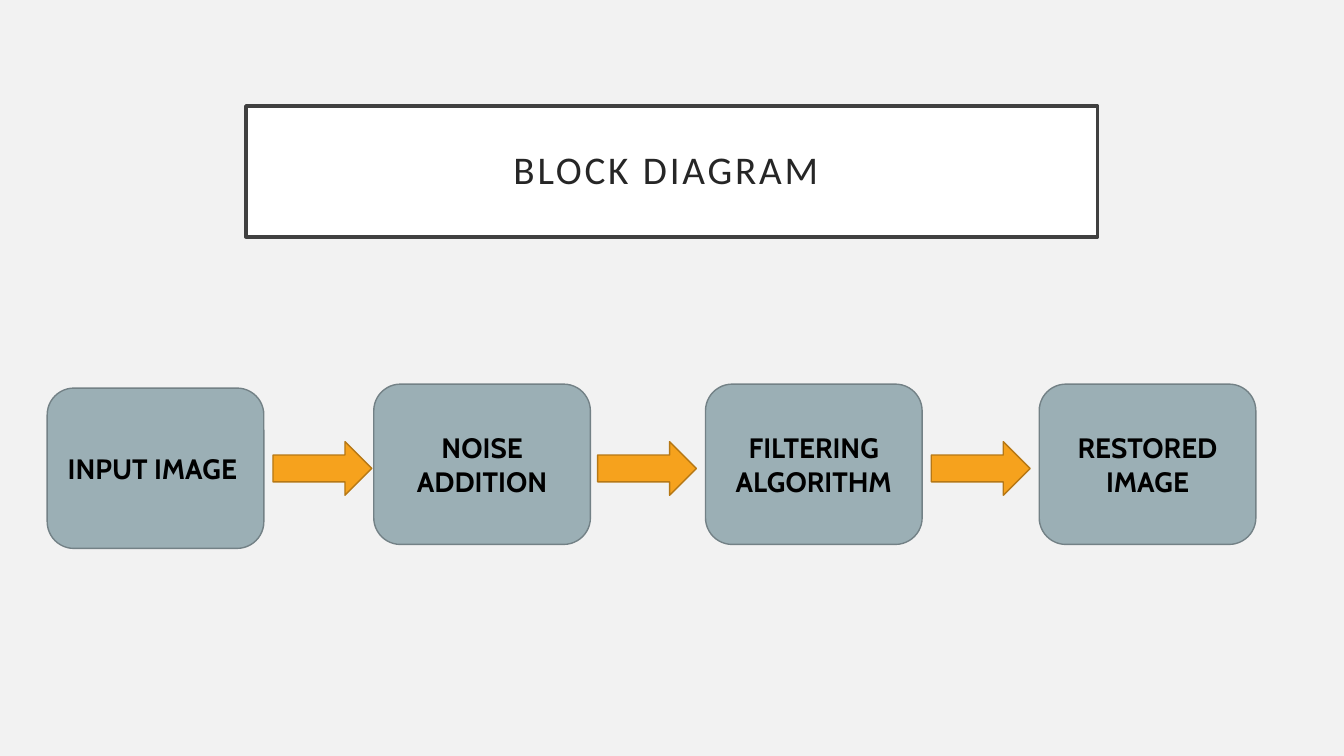
import pptx
import pptx.dml.color
import pptx.enum.shapes
import pptx.enum.text
import pptx.util

Cm = pptx.util.Cm
Pt = pptx.util.Pt
RGBColor = pptx.dml.color.RGBColor
MSO_SHAPE = pptx.enum.shapes.MSO_SHAPE

BACKGROUND = RGBColor(0xF2, 0xF2, 0xF2)
WHITE = RGBColor(0xFF, 0xFF, 0xFF)
BLACK = RGBColor(0x00, 0x00, 0x00)
TITLE_TEXT = RGBColor(0x26, 0x26, 0x26)
TITLE_BORDER = RGBColor(0x40, 0x40, 0x40)
STAGE_FILL = RGBColor(0x9B, 0xAF, 0xB5)
STAGE_BORDER = RGBColor(0x73, 0x81, 0x86)
ARROW_FILL = RGBColor(0xF6, 0xA2, 0x1D)
ARROW_BORDER = RGBColor(0xB6, 0x78, 0x15)

TITLE_BOX = (6.2, 2.67, 21.46, 3.3)
FLOW_BOX = (1.19, 9.68, 30.46, 4.14)
STAGE_SIZE = (5.46, 4.04)
ARROW_SIZE = (2.49, 1.35)
ARROW_DROP = 1.45
STAGES = [
    ("INPUT IMAGE ", 0, 0.1),
    ("NOISE ADDITION", 8.23, 0),
    ("FILTERING ALGORITHM", 16.59, 0),
    ("RESTORED IMAGE", 25, 0),
]
ARROW_OFFSETS = [5.69, 13.87, 22.28]

TITLE_FONT = {"name": "Calibri", "size": Pt(28), "bold": False}
STAGE_FONT = {"name": "Cabin", "size": Pt(20), "bold": True}
TITLE_FRAME = {
    "margin_left": Cm(0.51),
    "margin_right": Cm(0.51),
    "margin_top": Cm(0.51),
    "margin_bottom": Cm(0.51),
}
SHARED_FRAME = {
    "word_wrap": True,
    "auto_size": pptx.enum.text.MSO_AUTO_SIZE.NONE,
    "vertical_anchor": pptx.enum.text.MSO_ANCHOR.MIDDLE,
}


def apply(target, values):
    for attribute, value in values.items():
        setattr(target, attribute, value)


def paint(shape, fill, border, weight):
    shape.fill.solid()
    shape.fill.fore_color.rgb = fill
    shape.line.color.rgb = border
    shape.line.width = Pt(weight)


def write(shape, text, font, color):
    apply(shape.text_frame, SHARED_FRAME)
    paragraph = shape.text_frame.paragraphs[0]
    paragraph.alignment = pptx.enum.text.PP_ALIGN.CENTER
    run = paragraph.add_run()
    run.text = text
    apply(run.font, font)
    run.font.color.rgb = color
    return paragraph


def add_flow_part(slide, preset, box, fill, border):
    part = slide.shapes.add_shape(preset, *map(Cm, box))
    part.shadow.inherit = False
    paint(part, fill, border, 1)
    return part


def place_title(slide, box):
    title = slide.shapes.title
    apply(title, dict(zip(("left", "top", "width", "height"), map(Cm, box))))
    paint(title, WHITE, TITLE_BORDER, 2.5)
    apply(title.text_frame, TITLE_FRAME)
    paragraph = write(title, "BLOCK DIAGRAM ", TITLE_FONT, TITLE_TEXT)
    paragraph.line_spacing = 0.9
    paragraph.runs[0].font._element.set("spc", "200")


def place_flow(slide, box):
    left, top = box[:2]
    for label, across, down in STAGES:
        stage = add_flow_part(
            slide, MSO_SHAPE.ROUNDED_RECTANGLE,
            (left + across, top + down, *STAGE_SIZE), STAGE_FILL, STAGE_BORDER)
        write(stage, label, STAGE_FONT, BLACK)
    for across in ARROW_OFFSETS:
        add_flow_part(
            slide, MSO_SHAPE.RIGHT_ARROW,
            (left + across, top + ARROW_DROP, *ARROW_SIZE), ARROW_FILL, ARROW_BORDER)


def main():
    deck = pptx.Presentation()
    apply(deck, {"slide_width": Cm(33.87), "slide_height": Cm(19.05)})
    slide = deck.slides.add_slide(deck.slide_layouts[5])
    slide.background.fill.solid()
    slide.background.fill.fore_color.rgb = BACKGROUND
    place_title(slide, TITLE_BOX)
    place_flow(slide, FLOW_BOX)
    deck.save("out.pptx")


if __name__ == "__main__":
    main()
